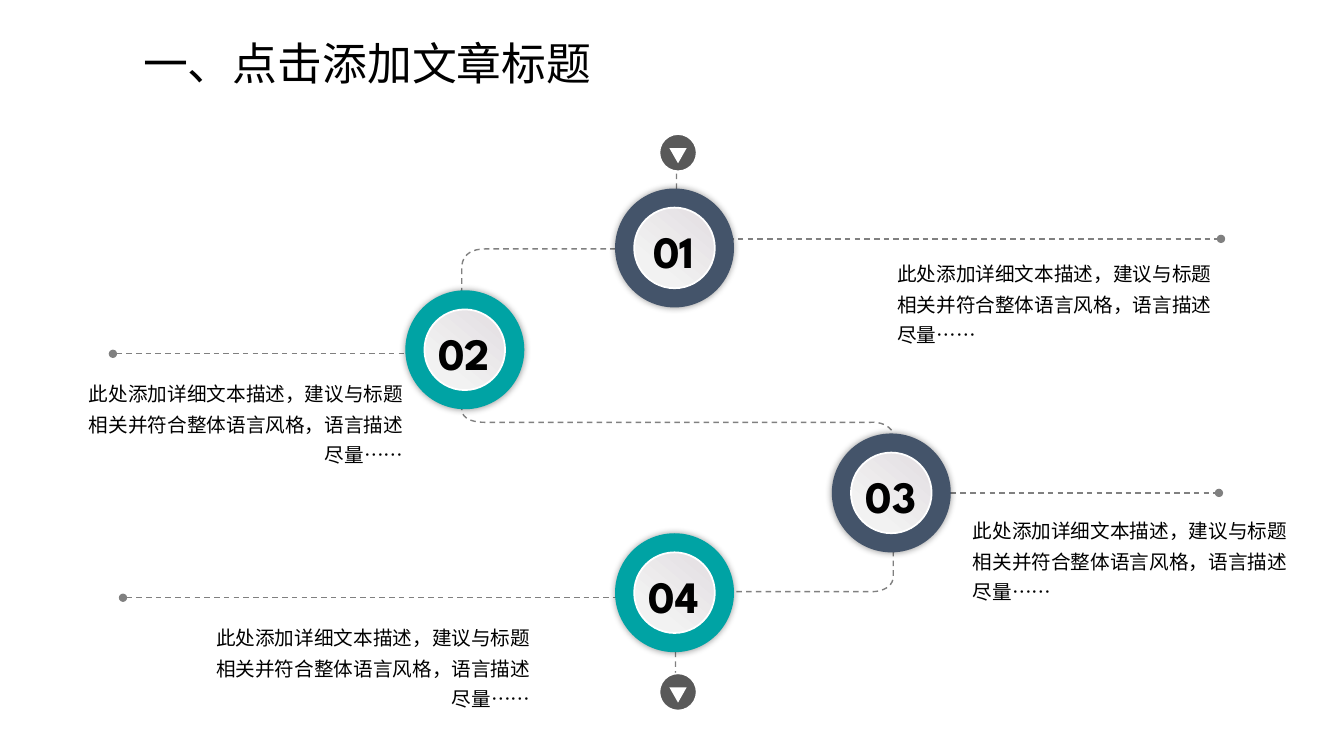
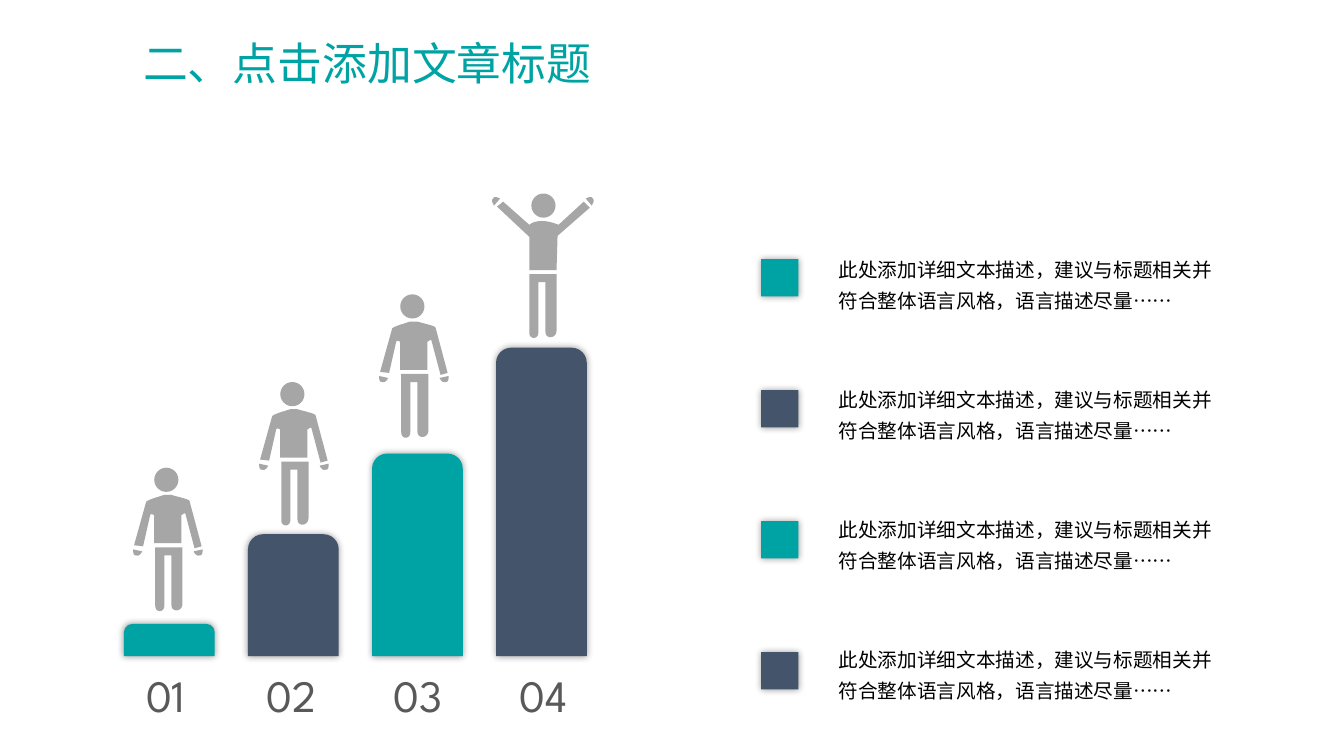
from lxml.etree import SubElement
from pptx import Presentation
from pptx.dml.color import RGBColor
from pptx.enum.dml import MSO_LINE
from pptx.enum.shapes import MSO_CONNECTOR, MSO_SHAPE
from pptx.enum.text import MSO_ANCHOR, MSO_AUTO_SIZE, PP_ALIGN
from pptx.oxml.ns import qn
from pptx.util import Inches, Pt

FONT = "League Spartan"
COLORS = {
    "teal": "00A3A4", "slate": "44546A", "dark": "595959", "dash": "808080",
    "figure": "A6A6A6", "black": "000000", "white": "FFFFFF",
    "dial_edge": "E2DDE1", "dial": "F2F2F2",
}
DESCRIPTION = "此处添加详细文本描述，建议与标题相关并符合整体语言风格，语言描述尽量……"
TITLES = [("一、点击添加文章标题", "black"), ("二、点击添加文章标题", "teal")]

STEPS = [
    ("01", "slate", (6.1, 1.87)),
    ("02", "teal", (4.02, 2.88)),
    ("03", "slate", (8.25, 4.3)),
    ("04", "teal", (6.1, 5.29)),
]
RING, DIAL = 1.18, 0.8
LEADERS = [(7.09, 12.11, 2.37), (9.2, 12.09, 4.89), (1.22, 6.21, 5.93), (1.12, 4.13, 3.51)]
DETAILS = [
    (8.8, 2.48, 3.47, PP_ALIGN.LEFT),
    (0.63, 3.67, 3.47, PP_ALIGN.RIGHT),
    (9.55, 5.03, 3.47, PP_ALIGN.LEFT),
    (1.97, 6.09, 3.39, PP_ALIGN.RIGHT),
]
MARKERS = [(6.54, 1.33), (6.54, 6.68)]
ROUTE = [
    (6.71, 1.59), (6.71, 2.47), (4.81, 2.47), (4.65, 2.47, 4.58, 2.55, 4.58, 2.66),
    (4.58, 4.06), (4.58, 4.15, 4.68, 4.19, 4.81, 4.19), (8.63, 4.19),
    (8.76, 4.18, 8.86, 4.25, 8.86, 4.32), (8.86, 5.72),
    (8.86, 5.82, 8.75, 5.87, 8.65, 5.87), (6.7, 5.87), (6.7, 6.73),
]

STAGES = [
    ("01", "teal", 6.19, 0.08, (1.53, 4.64), "standing"),
    ("02", "slate", 5.3, 0.15, (2.78, 3.79), "standing"),
    ("03", "teal", 4.5, 0.15, (3.97, 2.92), "standing"),
    ("04", "slate", 3.45, 0.15, (5.27, 1.92), "cheering"),
]
BAR_LEFT, BAR_PITCH, BAR_WIDTH, BASELINE = 1.23, 1.23, 0.9, 6.51
LEGS = [
    (0.28, 1.35), (0.28, 0.79), (0.01, 0.79), (0.01, 1.37),
    (0.01, 1.44, 0.1, 1.44, 0.1, 1.37), (0.1, 0.87), (0.17, 0.87), (0.17, 1.36),
    (0.17, 1.44, 0.28, 1.43, 0.28, 1.35),
]
POSES = {
    "standing": {
        "torso": [
            (-0.11, 0.78), (-0.2, 0.77), (-0.08, 0.34), (-0.07, 0.32, 0.04, 0.29, 0.1, 0.27),
            (0.17, 0.27), (0.23, 0.29, 0.34, 0.31, 0.35, 0.33), (0.47, 0.78), (0.4, 0.8),
            (0.31, 0.46), (0.3, 0.44, 0.28, 0.47, 0.27, 0.47), (0.27, 0.75), (0, 0.75),
            (0, 0.47), (-0.01, 0.47, -0.03, 0.45, -0.04, 0.47),
        ],
        "hand": [
            (-0.12, 0.83), (-0.21, 0.81), (-0.21, 0.86, -0.2, 0.87, -0.18, 0.87),
            (-0.15, 0.88, -0.13, 0.85, -0.12, 0.83),
        ],
        "mirror": 0.27,
        "legs_shift": (0, 0),
    },
    "cheering": {
        "torso": [
            (0.25, 0.76), (-0.02, 0.76), (-0.02, 0.43), (-0.34, 0.13), (-0.28, 0.08),
            (-0.02, 0.31), (0.04, 0.26, 0.15, 0.26, 0.27, 0.31), (0.52, 0.08),
            (0.58, 0.14), (0.26, 0.42),
        ],
        "hand": [
            (-0.37, 0.12), (-0.31, 0.05), (-0.35, 0.03, -0.37, 0.03, -0.38, 0.05),
            (-0.4, 0.07, -0.38, 0.1, -0.37, 0.12),
        ],
        "mirror": 0.23,
        "legs_shift": (-0.03, 0.01),
    },
}
LEGEND = ["teal", "slate", "teal", "slate"]


def rgb(name):
    return RGBColor.from_string(COLORS[name])


def paint(shape, fill, outline=None, glow=False):
    if fill:
        shape.fill.solid()
        shape.fill.fore_color.rgb = rgb(fill)
    else:
        shape.fill.background()
    if outline:
        shape.line.color.rgb = rgb(outline)
        shape.line.width = Pt(1.25)
    else:
        shape.line.fill.background()
    shape.shadow.inherit = False
    if glow:
        effects = shape.element.spPr.find(qn("a:effectLst"))
        shadow = SubElement(effects, qn("a:outerShdw"), blurRad=str(Pt(5)), dist="0", dir="0",
                            algn="ctr", rotWithShape="0")
        tone = SubElement(shadow, qn("a:srgbClr"), val=COLORS["black"])
        SubElement(tone, qn("a:alpha"), val="40000")
    return shape


def add_preset(shapes, preset, left, top, width, height):
    return shapes.add_shape(preset, Inches(left), Inches(top), Inches(width), Inches(height))


def flatten(outline, samples=10):
    points = [outline[0]]
    for step in outline[1:]:
        if len(step) == 2:
            points.append(step)
            continue
        controls = list(zip((*points[-1], *step)[::2], (*points[-1], *step)[1::2]))
        for i in range(1, samples + 1):
            t = i / samples
            weights = ((1 - t) ** 3, 3 * t * (1 - t) ** 2, 3 * t * t * (1 - t), t ** 3)
            points.append(tuple(sum(w * c[axis] for w, c in zip(weights, controls))
                                for axis in (0, 1)))
    return points


def add_outline(shapes, points, origin=(0, 0), close=True):
    placed = [(Inches(origin[0] + x), Inches(origin[1] + y)) for x, y in points]
    builder = shapes.build_freeform(*placed[0], scale=1.0)
    builder.add_line_segments(placed[1:], close=close)
    return builder.convert_to_shape()


def dash_line(line_shape):
    line_shape.line.color.rgb = rgb("dash")
    line_shape.line.width = Pt(1)
    line_shape.line.dash_style = MSO_LINE.DASH
    stroke = line_shape.element.spPr.find(qn("a:ln"))
    for end in ("a:headEnd", "a:tailEnd"):
        SubElement(stroke, qn(end), type="oval")


def write(shape, text, size, color, align=PP_ALIGN.LEFT, bold=False, spacing=1.0, wrap=True):
    frame = shape.text_frame
    frame.text = text
    frame.word_wrap = wrap
    frame.auto_size = MSO_AUTO_SIZE.SHAPE_TO_FIT_TEXT
    frame.vertical_anchor = MSO_ANCHOR.TOP
    paragraph = frame.paragraphs[0]
    paragraph.alignment = align
    paragraph.line_spacing = spacing
    paragraph.font.name = FONT
    paragraph.font.size = Pt(size)
    paragraph.font.bold = bold
    paragraph.font.color.rgb = rgb(color)


def add_text(shapes, text, left, top, width, height, *style, **options):
    box = shapes.add_textbox(Inches(left), Inches(top), Inches(width), Inches(height))
    write(box, text, *style, **options)


def add_number(shapes, number, left, top, color, bold=False):
    add_text(shapes, number, left, top, 0.97, 0.64, 32, color, PP_ALIGN.CENTER, bold=bold)


def add_description(shapes, left, top, width, height, align=PP_ALIGN.LEFT):
    add_text(shapes, DESCRIPTION, left, top, width, height, 14, "black", align, spacing=1.3)


def add_titled_slide(deck, title, color):
    slide = deck.slides.add_slide(deck.slide_layouts[5])
    heading = slide.shapes.title
    heading.left, heading.top = Inches(1.32), Inches(0.3)
    heading.width, heading.height = Inches(4.69), Inches(0.64)
    write(heading, title, 32, color, wrap=False)
    return slide.shapes


def add_marker(shapes, left, top):
    marker = shapes.add_group_shape().shapes
    paint(add_preset(marker, MSO_SHAPE.OVAL, left, top, 0.37, 0.37), "dark", "white")
    arrow = add_preset(marker, MSO_SHAPE.ISOSCELES_TRIANGLE, left + 0.1, top + 0.14, 0.17, 0.15)
    arrow.rotation = 180
    paint(arrow, "white")


def add_step(shapes, number, color, left, top):
    step = shapes.add_group_shape().shapes
    paint(add_preset(step, MSO_SHAPE.OVAL, left, top, RING, RING), color, glow=True)
    inset = (RING - DIAL) / 2
    dial = add_preset(step, MSO_SHAPE.OVAL, left + inset, top + inset, DIAL, DIAL)
    paint(dial, "dial", "white")
    dial.fill.gradient()
    dial.fill.gradient_angle = 230
    for stop, (position, tone) in zip(dial.fill.gradient_stops, [(0, "dial_edge"), (0.76, "dial")]):
        stop.position = position
        stop.color.rgb = rgb(tone)
    add_number(step, number, left + 0.1, top + 0.3, "black", bold=True)


def add_figure(shapes, origin, pose):
    figure = shapes.add_group_shape().shapes
    paint(add_preset(figure, MSO_SHAPE.OVAL, *origin, 0.24, 0.24), "figure")
    hand = flatten(pose["hand"])
    dx, dy = pose["legs_shift"]
    limbs = [
        flatten(pose["torso"]),
        hand,
        [(pose["mirror"] - x, y) for x, y in hand],
        [(x + dx, y + dy) for x, y in flatten(LEGS)],
    ]
    for limb in limbs:
        paint(add_outline(figure, limb, origin), "figure")


def build_route_slide(deck):
    shapes = add_titled_slide(deck, *TITLES[0])
    for start, end, y in LEADERS:
        leader = shapes.add_connector(MSO_CONNECTOR.STRAIGHT, Inches(start), Inches(y),
                                      Inches(end), Inches(y))
        dash_line(leader)
        SubElement(leader.element.spPr, qn("a:effectLst"))
    route = add_outline(shapes, flatten(ROUTE), close=False)
    paint(route, None)
    dash_line(route)
    for spot in MARKERS:
        add_marker(shapes, *spot)
    for number, color, corner in STEPS:
        add_step(shapes, number, color, *corner)
    for left, top, width, align in DETAILS:
        add_description(shapes, left, top, width, 1.02, align)


def build_growth_slide(deck):
    shapes = add_titled_slide(deck, *TITLES[1])
    for i, (number, color, top, radius, head, pose) in enumerate(STAGES):
        height = BASELINE - top
        bar = add_preset(shapes, MSO_SHAPE.ROUND_2_SAME_RECTANGLE, BAR_LEFT + i * BAR_PITCH,
                         top, BAR_WIDTH, height)
        bar.adjustments[0] = radius / min(BAR_WIDTH, height)
        paint(bar, color, glow=True)
        add_number(shapes, number, 1.16 + i * 1.25, 6.58, "dark")
        add_figure(shapes, head, POSES[pose])
    for i, color in enumerate(LEGEND):
        swatch = add_preset(shapes, MSO_SHAPE.RECTANGLE, 7.55, 2.57 + i * 1.3, 0.37, 0.37)
        paint(swatch, color, glow=True)
        add_description(shapes, 8.22, 2.44 + i * 1.29, 4.03, 0.68)


def main():
    deck = Presentation()
    deck.slide_width, deck.slide_height = Inches(13.33), Inches(7.5)
    build_route_slide(deck)
    build_growth_slide(deck)
    deck.save("out.pptx")


if __name__ == "__main__":
    main()
